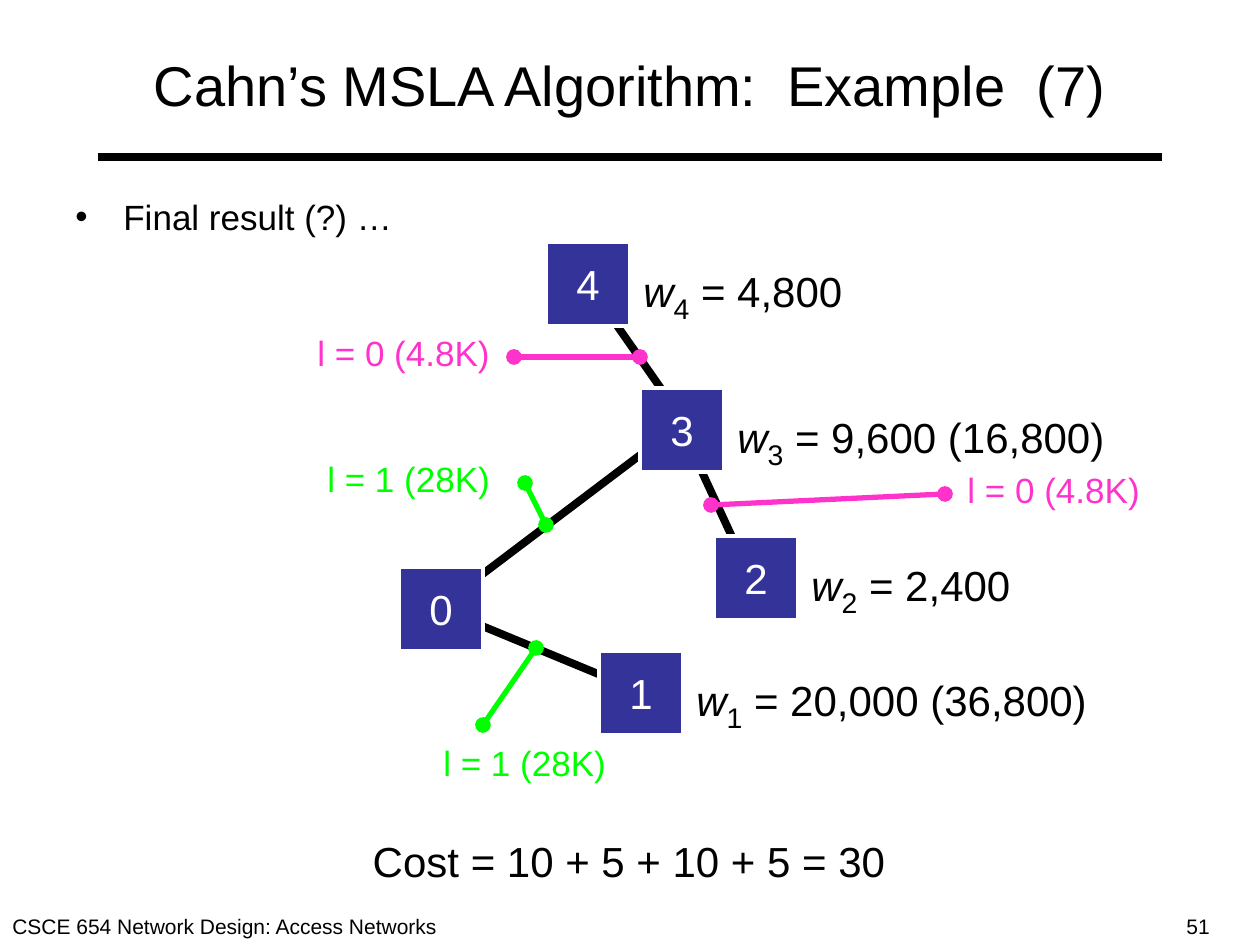
from lxml import etree
from pptx import Presentation
from pptx.dml.color import RGBColor
from pptx.enum.shapes import MSO_CONNECTOR, MSO_SHAPE
from pptx.enum.text import MSO_ANCHOR, PP_ALIGN
from pptx.oxml.ns import qn
from pptx.util import Emu, Pt

LINE = MSO_CONNECTOR.STRAIGHT
RECT = MSO_SHAPE.RECTANGLE
MID, TOP = MSO_ANCHOR.MIDDLE, MSO_ANCHOR.TOP
LEFT, MIDST = PP_ALIGN.LEFT, PP_ALIGN.CENTER
FONT = "Arial"
HUES = {"ink": "000000", "node": "333399", "white": "FFFFFF",
        "pink": "FF33CC", "green": "00FF00"}
SIDE = 84

NODES = {
    "0": (399, 567),
    "1": (599, 651),
    "3": (640, 388),
    "4": (546, 242),
    "2": (714, 536),
}
LOADS = [
    ("1", " = 20,000 (36,800)", 416),
    ("2", " = 2,400", 224),
    ("4", " = 4,800", 224),
    ("3", " = 9,600 (16,800)", 392),
]
EDGES = [
    (588, 284, 683, 420),
    (672, 431, 451, 598),
    (746, 567, 683, 431),
    (441, 609, 620, 683),
]
LINKS = [
    ("l = 1 (28K)", "green", (315, 451, 188, 55), (525, 483, 546, 525)),
    ("l = 0 (4.8K)", "pink", (305, 325, 198, 55), (514, 357, 640, 357)),
    ("l = 1 (28K)", "green", (431, 735, 188, 55), (483, 725, 536, 648)),
    ("l = 0 (4.8K)", "pink", (955, 462, 198, 55), (945, 494, 711, 505)),
]


def px(num):
    return Emu(round(num * 914400 / 126))


def hue(name):
    return RGBColor.from_string(HUES[name])


def add_run(par, text, size, tint="ink", slant=False, sub=False):
    run = par.add_run()
    run.text = text
    font = run.font
    font.name, font.size, font.italic = FONT, Pt(size), slant
    font.color.rgb = hue(tint)
    if sub:
        run._r.get_or_add_rPr().set("baseline", "-25000")


def set_frame(shape, align=LEFT, anchor=TOP, wrap=False):
    frame = shape.text_frame
    frame.word_wrap = wrap
    frame.vertical_anchor = anchor
    par = frame.paragraphs[0]
    par.alignment = align
    return par


def add_text(slide, box, text, size, tint="ink", align=LEFT):
    shape = slide.shapes.add_textbox(*map(px, box))
    par = set_frame(shape, align)
    add_run(par, text, size, tint)


def add_title(slide, text):
    title = slide.shapes.title
    title.left, title.top, title.width, title.height = map(px, (63, 21, 1134, 126))
    add_run(set_frame(title, MIDST, MID, True), text, 32)


def add_point(slide, box, text):
    shape = slide.shapes.add_textbox(*map(px, box))
    par = set_frame(shape, wrap=True)
    props = par._p.get_or_add_pPr()
    props.set("marL", str(px(48)))
    props.set("indent", str(px(-48)))
    etree.SubElement(props, qn("a:buFont"), typeface=FONT)
    etree.SubElement(props, qn("a:buChar"), char="•")
    add_run(par, text, 20)


def add_line(slide, ends, tint, width, dots=False):
    line = slide.shapes.add_connector(LINE, *map(px, ends))
    line.line.color.rgb = hue(tint)
    line.line.width = Pt(width)
    if dots:
        stroke = line.line._get_or_add_ln()
        for end in ("a:headEnd", "a:tailEnd"):
            etree.SubElement(stroke, qn(end), type="oval")
    etree.SubElement(line._element.spPr, qn("a:effectLst"))


def add_node(slide, name, left, top):
    node = slide.shapes.add_shape(RECT, *map(px, (left, top, SIDE, SIDE)))
    node.shadow.inherit = False
    node.fill.solid()
    node.fill.fore_color.rgb = hue("node")
    node.line.color.rgb = hue("white")
    node.line.width = Pt(2.25)
    add_run(set_frame(node, MIDST, MID), name, 24, "white")


def add_load(slide, name, text, width):
    left, top = NODES[name]
    box = (left + SIDE + 1, top + 10, width, 79)
    par = set_frame(slide.shapes.add_textbox(*map(px, box)))
    add_run(par, "w", 24, slant=True)
    add_run(par, name, 28, sub=True)
    add_run(par, text, 24)


def main():
    deck = Presentation()
    deck.slide_width, deck.slide_height = px(1260), px(945)
    slide = deck.slides.add_slide(deck.slide_layouts[5])
    add_line(slide, (98, 157, 1162, 157), "ink", 4.5)
    add_text(slide, (0, 907, 451, 38), "CSCE 654 Network Design: Access Networks", 12)
    add_text(slide, (1174, 907, 121, 38), "51", 12)
    add_title(slide, "Cahn’s MSLA Algorithm:  Example  (7)")
    add_point(slide, (63, 189, 1134, 82), "Final result (?) …")
    for ends in EDGES:
        add_line(slide, ends, "ink", 4.5)
    for name, spot in NODES.items():
        add_node(slide, name, *spot)
    for load in LOADS:
        add_load(slide, *load)
    for text, tint, box, ends in LINKS:
        add_text(slide, box, text, 20, tint)
        add_line(slide, ends, tint, 3, True)
    add_text(slide, (360, 829, 538, 63), "Cost = 10 + 5 + 10 + 5 = 30", 24, align=MIDST)
    deck.save("out.pptx")


if __name__ == "__main__":
    main()
